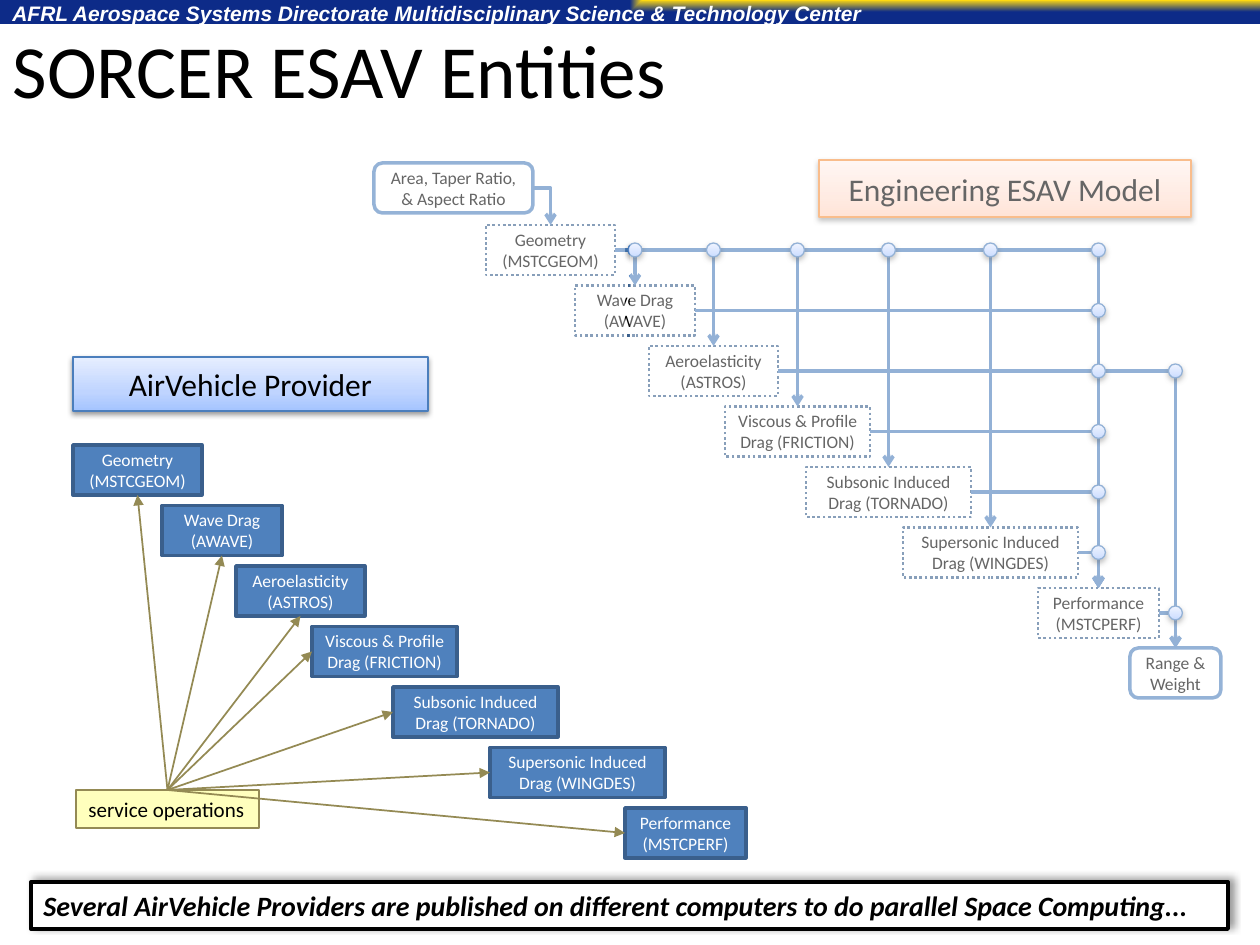
from dataclasses import dataclass

from lxml.etree import SubElement
from pptx import Presentation
from pptx.dml.color import RGBColor
from pptx.enum.dml import MSO_LINE
from pptx.enum.shapes import MSO_CONNECTOR, MSO_SHAPE
from pptx.enum.text import MSO_ANCHOR, MSO_AUTO_SIZE, PP_ALIGN
from pptx.oxml.ns import qn
from pptx.util import Emu, Pt


@dataclass(frozen=True)
class Theme:
    body_font: str = "Calibri"
    header_font: str = "Arial"
    title_size: float = 42.9
    banner_size: int = 18
    note_size: int = 16
    small_size: int = 12
    node_size: int = 10
    black: str = "000000"
    white: str = "FFFFFF"
    blue: str = "4F81BD"
    wire: str = "4B7EBC"
    outline: str = "3A5F8C"
    olive: str = "948A54"
    orange: str = "F69240"
    yellow: str = "FFFFBD"
    header_stops: tuple = ((0, "FED910"), (100, "0D2B88"))
    blue_stops: tuple = ((0, "A4C4FF"), (35, "BFD4FF"), (100, "E6EEFF"))
    orange_stops: tuple = ((0, "FFD2BD"), (35, "FFDED0"), (100, "FFF2ED"))
    soft_shadow: tuple = (3.1, 1.6, 90, 38)  # blur, distance, angle, opacity
    note_shadow: tuple = (4, 3, 315, 40)


THEME = Theme()
RIGHT, TOP, LEFT, BOTTOM = 3, 0, 1, 2  # connection sites of a rectangle

# Analysis steps: left offset in the staircase, width, lines of text
STEP_HEIGHT, STEP_PITCH = 50, 60.5
STEPS = [
    (0, 129, ["Geometry", "(MSTCGEOM)"]),
    (89, 120, ["Wave Drag", "(AWAVE)"]),
    (163, 129, ["Aeroelasticity (ASTROS)"]),
    (239, 145, ["Viscous & Profile Drag (FRICTION)"]),
    (320, 165, ["Subsonic Induced Drag (TORNADO)"]),
    (417, 175, ["Supersonic Induced Drag (WINGDES)"]),
    (552, 121, ["Performance (MSTCPERF)"]),
]


def px(value):
    return Emu(round(value * 914400 / 126))


def color(value):
    return RGBColor.from_string(value)


def add_box(slide, box, preset=MSO_SHAPE.RECTANGLE, fill=None, line=None, width=1):
    shape = slide.shapes.add_shape(preset, *map(px, box))
    shape.shadow.inherit = False
    if fill:
        shape.fill.solid()
        shape.fill.fore_color.rgb = color(fill)
    else:
        shape.fill.background()
    if line:
        shape.line.color.rgb = color(line)
        shape.line.width = Pt(width)
    else:
        shape.line.fill.background()
    return shape


def write(shape, lines, size, text_color=THEME.black, align=PP_ALIGN.CENTER,
          anchor=MSO_ANCHOR.MIDDLE, font=THEME.body_font, strong=False):
    frame = shape.text_frame
    frame.word_wrap = True
    frame.vertical_anchor = anchor
    frame.text = "\n".join(lines)
    for paragraph in frame.paragraphs:
        paragraph.alignment = align
        paragraph.font.name = font
        paragraph.font.size = Pt(size)
        paragraph.font.color.rgb = color(text_color)
        paragraph.font.bold = paragraph.font.italic = strong
    return frame


def set_gradient(shape, stops, corner=False):
    """Upward gradient, or one that spreads from the top right corner."""
    properties = shape._element.spPr
    gradient = properties.makeelement(qn("a:gradFill"), {"rotWithShape": "1"})
    stop_list = SubElement(gradient, qn("a:gsLst"))
    for position, value in stops:
        stop = SubElement(stop_list, qn("a:gs"), pos=str(position * 1000))
        SubElement(stop, qn("a:srgbClr"), val=value)
    if corner:
        direction = SubElement(gradient, qn("a:path"), path="rect")
        SubElement(direction, qn("a:fillToRect"), l="100000", b="100000")
    else:
        SubElement(gradient, qn("a:lin"), ang="16200000", scaled="0")
    properties.replace(properties.find(qn("a:noFill")), gradient)


def set_shadow(shape, shadow):
    blur, distance, angle, opacity = shadow
    effects = shape._element.spPr.find(qn("a:effectLst"))
    outer = SubElement(effects, qn("a:outerShdw"), blurRad=str(Pt(blur)),
                       dist=str(Pt(distance)), dir=str(angle * 60000), rotWithShape="0")
    value = SubElement(outer, qn("a:srgbClr"), val=THEME.black)
    SubElement(value, qn("a:alpha"), val=str(opacity * 1000))


def connect(slide, source, source_site, target, target_site, line, width, head, bent=False):
    kind = MSO_CONNECTOR.ELBOW if bent else MSO_CONNECTOR.STRAIGHT
    connector = slide.shapes.add_connector(kind, 0, 0, 0, 0)
    connector.begin_connect(source, source_site)
    connector.end_connect(target, target_site)
    connector.line.color.rgb = color(line)
    connector.line.width = Pt(width)
    properties = connector._element.spPr
    if bent:
        properties.find(qn("a:prstGeom")).set("prst", "bentConnector2")
    SubElement(properties.find(qn("a:ln")), qn("a:tailEnd"), type=head)
    SubElement(properties, qn("a:effectLst"))


def add_header(slide, box):
    left, top, width, height = box
    set_gradient(add_box(slide, box), THEME.header_stops, corner=True)
    label = slide.shapes.add_textbox(*map(px, (left, top - 1, 882, height + 9)))
    frame = write(label, ["AFRL Aerospace Systems Directorate Multidisciplinary Science & Technology Center"],
                  THEME.small_size, THEME.white, PP_ALIGN.LEFT, MSO_ANCHOR.TOP,
                  THEME.header_font, strong=True)
    frame.paragraphs[0].line_spacing = 0.8


def add_title(slide, box):
    title = slide.shapes.title
    title.left, title.top, title.width, title.height = map(px, box)
    frame = write(title, ["SORCER ESAV Entities"], THEME.title_size, align=PP_ALIGN.LEFT)
    frame.auto_size = MSO_AUTO_SIZE.NONE


def add_banner(slide, box, text, stops, line):
    banner = add_box(slide, box, line=line, width=0.75)
    set_gradient(banner, stops)
    set_shadow(banner, THEME.soft_shadow)
    write(banner, [text], THEME.banner_size)


def add_staircase(slide, left, top, fill, width, text_color):
    nodes = []
    for index, (offset, node_width, lines) in enumerate(STEPS):
        box = (left + offset, top + index * STEP_PITCH, node_width, STEP_HEIGHT)
        node = add_box(slide, box, fill=fill, line=THEME.outline, width=width)
        write(node, lines, THEME.node_size, text_color)
        nodes.append(node)
    return nodes


def add_dot(slide, source, target):
    """Junction on the source's row, in the target's column."""
    size = 14
    dot = add_box(slide, (0, 0, size, size), MSO_SHAPE.OVAL, line=THEME.wire, width=0.75)
    dot.left = target.left + (target.width - dot.width) // 2
    dot.top = source.top + (source.height - dot.height) // 2
    set_gradient(dot, THEME.blue_stops)
    set_shadow(dot, THEME.soft_shadow)


def add_provider(slide, box):
    left, top, width, height = box
    nodes = add_staircase(slide, left, top + 88, THEME.blue, 2, THEME.white)
    add_banner(slide, (left, top, 355, 54), "AirVehicle Provider", THEME.blue_stops, THEME.wire)
    service = add_box(slide, (left + 3, top + 433, 183, 38), fill=THEME.yellow,
                      line=THEME.olive, width=0.75)
    frame = write(service, ["service operations"], THEME.small_size,
                  align=PP_ALIGN.LEFT, anchor=MSO_ANCHOR.TOP)
    frame.word_wrap = False
    for index, node in enumerate(nodes):
        site = BOTTOM if index < 3 else LEFT
        connect(slide, service, TOP, node, site, THEME.olive, 1, "triangle")


def add_model(slide, box):
    left, top, width, height = box
    nodes = add_staircase(slide, left + 112, top + 62, None, 1.5, THEME.black)
    for node in nodes:
        node.line.dash_style = MSO_LINE.ROUND_DOT

    # Inputs and results
    ends = []
    for end_box, lines in [((left, top, 159, 50), ["Area, Taper Ratio,", "& Aspect Ratio"]),
                           ((left + 756, top + 485, 91, 50), ["Range & Weight"])]:
        end = add_box(slide, end_box, MSO_SHAPE.ROUNDED_RECTANGLE, THEME.white, THEME.blue, 2)
        write(end, lines, THEME.node_size)
        ends.append(end)
    inputs, results = ends

    # Data flow, with a junction at every bend
    geometry, wave, aero, viscous, subsonic, supersonic, performance = nodes
    flows = [(geometry, node) for node in nodes[1:]]
    flows += [(node, performance) for node in (wave, viscous, subsonic, supersonic)]
    flows += [(aero, results), (performance, results)]
    for source, target in [(inputs, geometry)] + flows:
        connect(slide, source, RIGHT, target, TOP, THEME.wire, 2, "arrow", bent=True)
    for source, target in flows + [(aero, performance)]:
        add_dot(slide, source, target)

    add_banner(slide, (left + 445, top - 3, 372, 57), "Engineering ESAV Model",
               THEME.orange_stops, THEME.orange)

    # Veils that fade the model
    for veil_box in [(left - 10, top - 27, 261, 208), (left + 256, top - 27, 630, 576)]:
        veil = add_box(slide, veil_box, fill=THEME.white)
        value = veil._element.spPr.find(qn("a:solidFill")).find(qn("a:srgbClr"))
        SubElement(value, qn("a:alpha"), val="40000")


def add_note(slide, box):
    note = add_box(slide, box, fill=THEME.white, line=THEME.black, width=2.25)
    set_shadow(note, THEME.note_shadow)
    write(note, ["Several AirVehicle Providers are published on different computers to do parallel Space Computing..."],
          THEME.note_size, align=PP_ALIGN.LEFT, anchor=MSO_ANCHOR.TOP, strong=True)


def main():
    presentation = Presentation()
    presentation.slide_width, presentation.slide_height = px(1260), px(945)
    slide = presentation.slides.add_slide(presentation.slide_layouts[5])
    add_header(slide, (0, 0, 1260, 24))
    add_title(slide, (0, 0, 1260, 136))
    add_provider(slide, (73, 357, 674, 501))
    add_model(slide, (374, 163, 847, 535))
    add_note(slide, (31, 882, 1197, 47))
    presentation.save("out.pptx")


if __name__ == "__main__":
    main()
